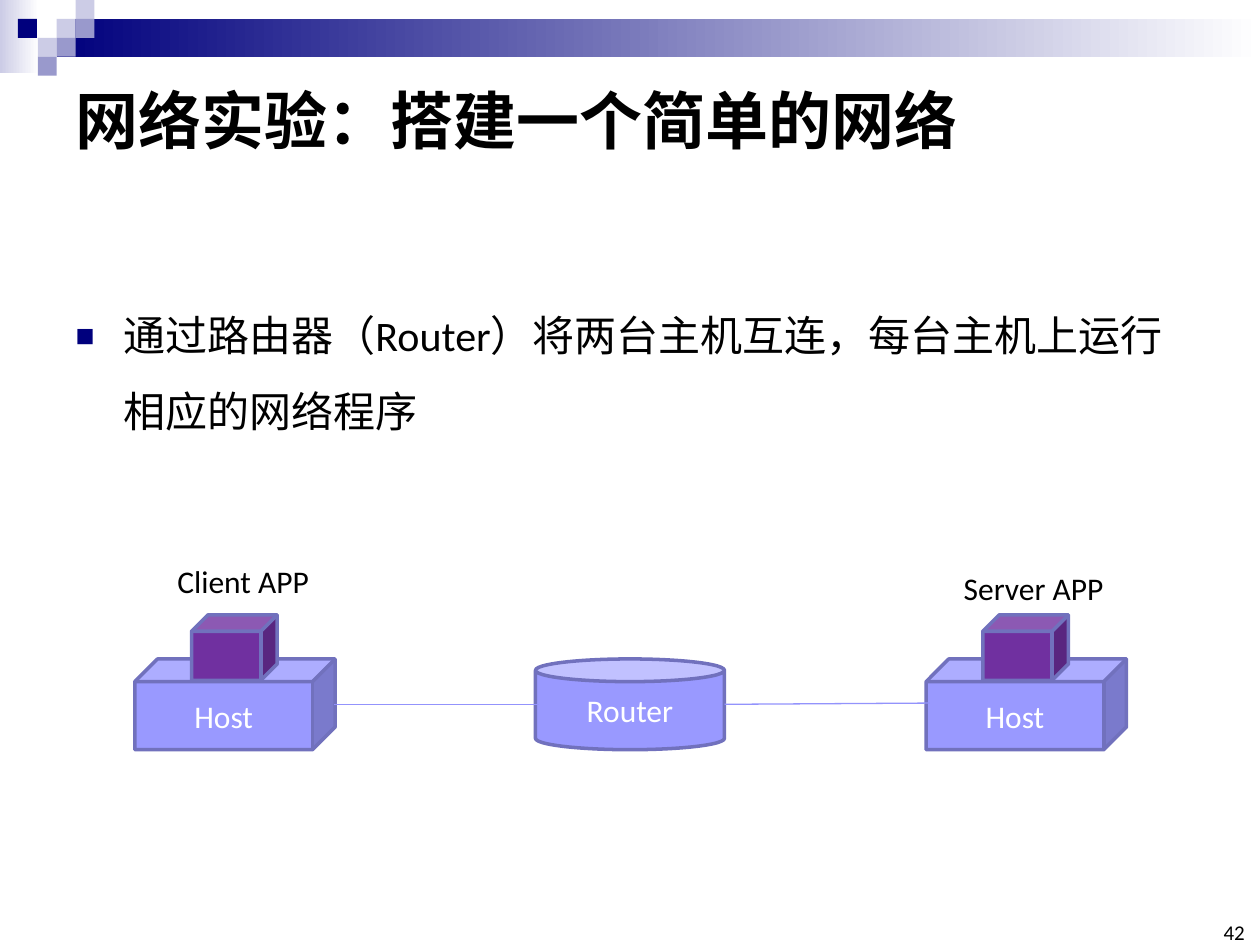
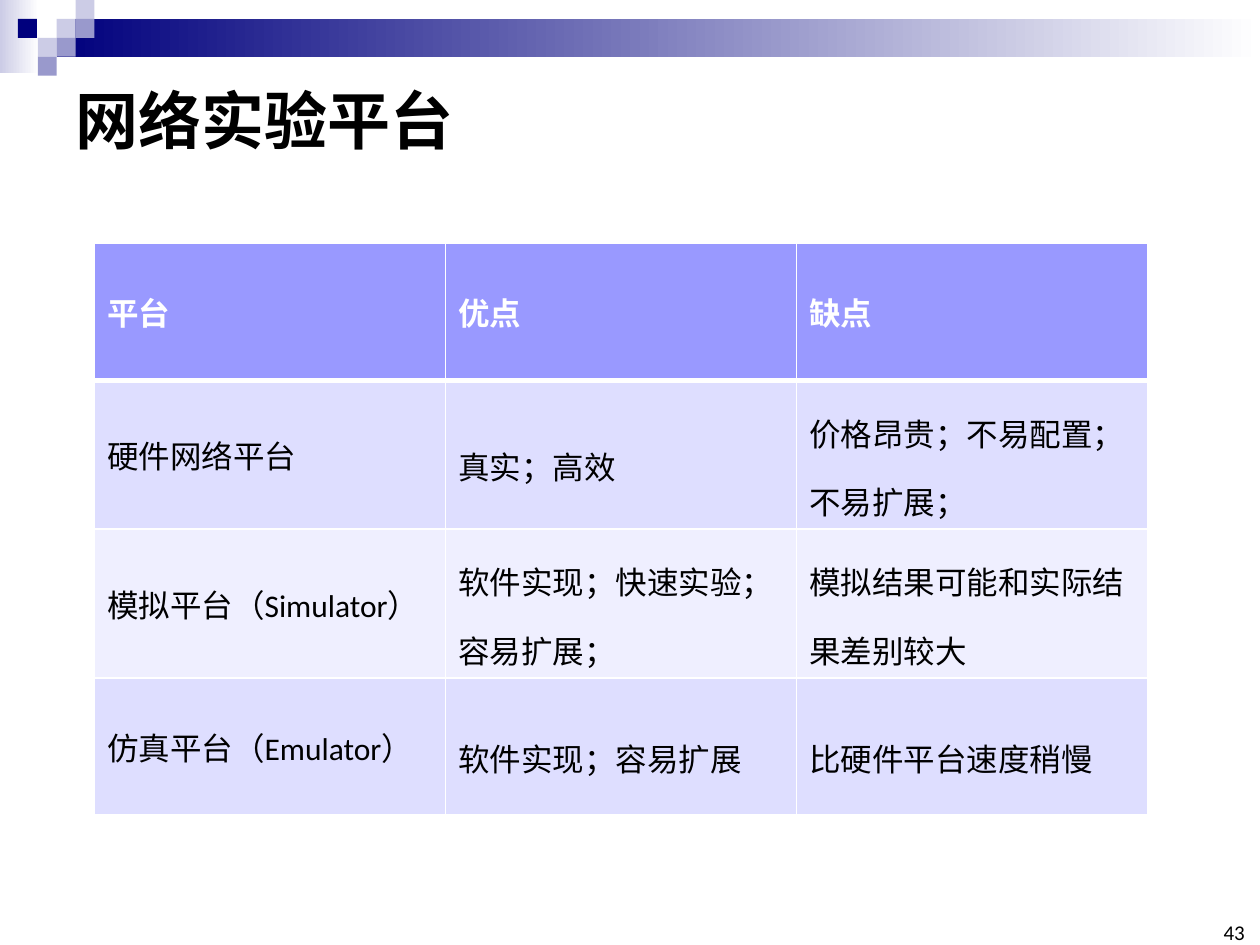
from dataclasses import dataclass

from lxml import etree
from pptx import Presentation
from pptx import util as u
from pptx.dml import color as clr
from pptx.enum import shapes as es
from pptx.enum import text as et
from pptx.oxml import ns

HUES = {
    "navy": "00007D", "mist": "CCCCE6", "haze": "9999CC", "white": "FFFFFF",
    "black": "000000", "lilac": "9999FF", "edge": "7171BD", "link": "9393FC",
    "plum": "7030A0", "odd": "DEDEFF", "even": "EFEFFF",
}
FACE = "Calibri"
UNIT = 0.15
KINDS = es.MSO_SHAPE
LEFT, MID, RIGHT = et.PP_ALIGN.LEFT, et.PP_ALIGN.CENTER, et.PP_ALIGN.RIGHT


@dataclass(frozen=True)
class Box:
    left: float
    top: float
    wide: float
    high: float

    def span(self) -> tuple:
        return tuple(u.Inches(n) for n in (self.left, self.top, self.wide, self.high))


@dataclass(frozen=True)
class Node:
    kind: int
    box: Box
    hue: str
    label: str = ""


@dataclass(frozen=True)
class Wire:
    start: tuple
    end: tuple


BANDS = [
    (Box(0, 0, 0.31, 0.58), "mist"),
    (Box(0.45, 0.15, 9.55, 0.3), "navy"),
]
TILES = [
    (3, 1, "mist"), (4, 0, "mist"), (4, 1, "haze"), (2, 2, "mist"),
    (0.95, 1, "navy"), (3, 2, "haze"), (2, 3, "haze"),
]
HOSTS = [1.07, 7.35]
NODES = [Node(KINDS.CAN, Box(4.25, 5.23, 1.5, 0.72), "lilac", "Router")] + [
    Node(KINDS.CUBE, Box(x, 5.23, 1.59, 0.72), "lilac", "Host") for x in HOSTS
]
APPS = [Node(KINDS.CUBE, Box(x + 0.45, 4.88, 0.68, 0.52), "plum") for x in HOSTS]
WIRES = [Wire((2.65, 5.59), (4.28, 5.59)), Wire((5.75, 5.59), (7.38, 5.58))]
TAGS = [
    (Box(1.31, 4.41, 1.26, 0.4), "Client APP"),
    (Box(7.55, 4.47, 1.32, 0.4), "Server APP"),
]
GOAL = "通过路由器（Router）将两台主机互连，每台主机上运行相应的网络程序"
ROWS = [
    ("平台", "优点", "缺点"),
    ("硬件网络平台", "真实；高效", "价格昂贵；不易配置；不易扩展；"),
    ("模拟平台（Simulator）", "软件实现；快速实验；容易扩展；", "模拟结果可能和实际结果差别较大"),
    ("仿真平台（Emulator）", "软件实现；容易扩展", "比硬件平台速度稍慢"),
]
HIGHS = [1.09, 1.18, 1.18, 1.09]


def tint(name: str) -> clr.RGBColor:
    return clr.RGBColor.from_string(HUES[name])


def place(shape, box: Box) -> None:
    shape.left, shape.top, shape.width, shape.height = box.span()


def write(frame, words: str, size: float, hue: str = "black",
          bold: bool = False, align=LEFT):
    frame.text = words
    para = frame.paragraphs[0]
    para.alignment = align
    font = para.font
    font.name, font.size, font.bold = FACE, u.Pt(size), bold
    font.color.rgb = tint(hue)
    return para


def block(slide, kind: int, box: Box):
    shape = slide.shapes.add_shape(kind, *box.span())
    shape.shadow.inherit = False
    shape.line.fill.background()
    return shape


def paint(shape, hue: str) -> None:
    shape.fill.solid()
    shape.fill.fore_color.rgb = tint(hue)


def fade(shape, hue: str) -> None:
    shape.fill.gradient()
    shape.fill.gradient_angle = 0
    for stop, name in zip(shape.fill.gradient_stops, (hue, "white")):
        stop.color.rgb = tint(name)


def draw(slide, node: Node) -> None:
    shape = block(slide, node.kind, node.box)
    paint(shape, node.hue)
    shape.line.color.rgb = tint("edge")
    shape.line.width = u.Pt(2)
    if node.label:
        write(shape.text_frame, node.label, 18, "white", align=MID)
        shape.text_frame.vertical_anchor = et.MSO_ANCHOR.MIDDLE


def join(slide, wire: Wire) -> None:
    ends = [u.Inches(n) for n in wire.start + wire.end]
    line = slide.shapes.add_connector(es.MSO_CONNECTOR.STRAIGHT, *ends)
    line.line.color.rgb = tint("link")
    line.line.width = u.Pt(0.75)
    etree.SubElement(line._element.spPr, ns.qn("a:effectLst"))


def label(slide, box: Box, words: str) -> None:
    frame = slide.shapes.add_textbox(*box.span()).text_frame
    frame.word_wrap = False
    frame.auto_size = et.MSO_AUTO_SIZE.SHAPE_TO_FIT_TEXT
    write(frame, words, 18)


def bullet(para) -> None:
    props = para._p.get_or_add_pPr()
    props.set("marL", str(u.Inches(0.38)))
    props.set("indent", str(u.Inches(-0.38)))
    marks = [
        ("buClr", {}), ("buSzPct", {"val": "75000"}),
        ("buFont", {"typeface": "Arial"}), ("buChar", {"char": "■"}),
    ]
    for name, attrs in marks:
        mark = etree.Element(ns.qn("a:" + name), attrs)
        if name == "buClr":
            etree.SubElement(mark, ns.qn("a:srgbClr"), val=HUES["navy"])
        props[-1].addprevious(mark)


def border(cell, above: float, below: float) -> None:
    props = cell._tc.get_or_add_tcPr()
    sides = [("lnL", 1), ("lnR", 1), ("lnT", above), ("lnB", below)]
    for spot, (name, width) in enumerate(sides):
        line = etree.Element(ns.qn("a:" + name), w=str(u.Pt(width)))
        fill = etree.SubElement(line, ns.qn("a:solidFill"))
        etree.SubElement(fill, ns.qn("a:srgbClr"), val=HUES["white"])
        props.insert(spot, line)


def start(deck, layout: int, head: str, page: int):
    slide = deck.slides.add_slide(deck.slide_layouts[layout])
    for box, hue in BANDS:
        fade(block(slide, KINDS.RECTANGLE, box), hue)
    for col, row, hue in TILES:
        box = Box(col * UNIT, row * UNIT, UNIT, UNIT)
        paint(block(slide, KINDS.RECTANGLE, box), hue)
    title = slide.shapes.title
    place(title, Box(0.5, 0.5, 9, 0.89))
    title.text_frame.vertical_anchor = et.MSO_ANCHOR.MIDDLE
    write(title.text_frame, head, 36, bold=True)
    foot = slide.shapes.add_textbox(*Box(9.65, 7.33, 0.23, 0.17).span()).text_frame
    foot.margin_left = foot.margin_right = foot.margin_top = foot.margin_bottom = 0
    foot.word_wrap = True
    foot.vertical_anchor = et.MSO_ANCHOR.BOTTOM
    write(foot, str(page), 12, align=RIGHT)
    return slide


def lab(deck) -> None:
    slide = start(deck, 1, "网络实验：搭建一个简单的网络", 42)
    body = slide.placeholders[1]
    place(body, Box(0.5, 2.21, 9, 1.34))
    para = write(body.text_frame, GOAL, 24)
    para.line_spacing = 1.5
    bullet(para)
    for node in NODES:
        draw(slide, node)
    for wire in WIRES:
        join(slide, wire)
    for app in APPS:
        draw(slide, app)
    for box, words in TAGS:
        label(slide, box, words)


def compare(deck) -> None:
    slide = start(deck, 5, "网络实验平台", 43)
    box = Box(0.75, 1.93, 8.36, sum(HIGHS))
    grid = slide.shapes.add_table(len(ROWS), len(ROWS[0]), *box.span()).table
    for r, (row, high) in enumerate(zip(ROWS, HIGHS)):
        grid.rows[r].height = u.Inches(high)
        top = r == 0
        fill = "lilac" if top else "odd" if r % 2 else "even"
        for c, words in enumerate(row):
            cell = grid.cell(r, c)
            paint(cell, fill)
            border(cell, 3 if r == 1 else 1, 3 if top else 1)
            cell.vertical_anchor = et.MSO_ANCHOR.MIDDLE
            para = write(cell.text_frame, words, 18, "white" if top else "black", top)
            if c and not top:
                para.line_spacing = 1.5


def main() -> None:
    deck = Presentation()
    deck.slide_width, deck.slide_height = u.Inches(10), u.Inches(7.5)
    lab(deck)
    compare(deck)
    deck.save("out.pptx")


if __name__ == "__main__":
    main()
